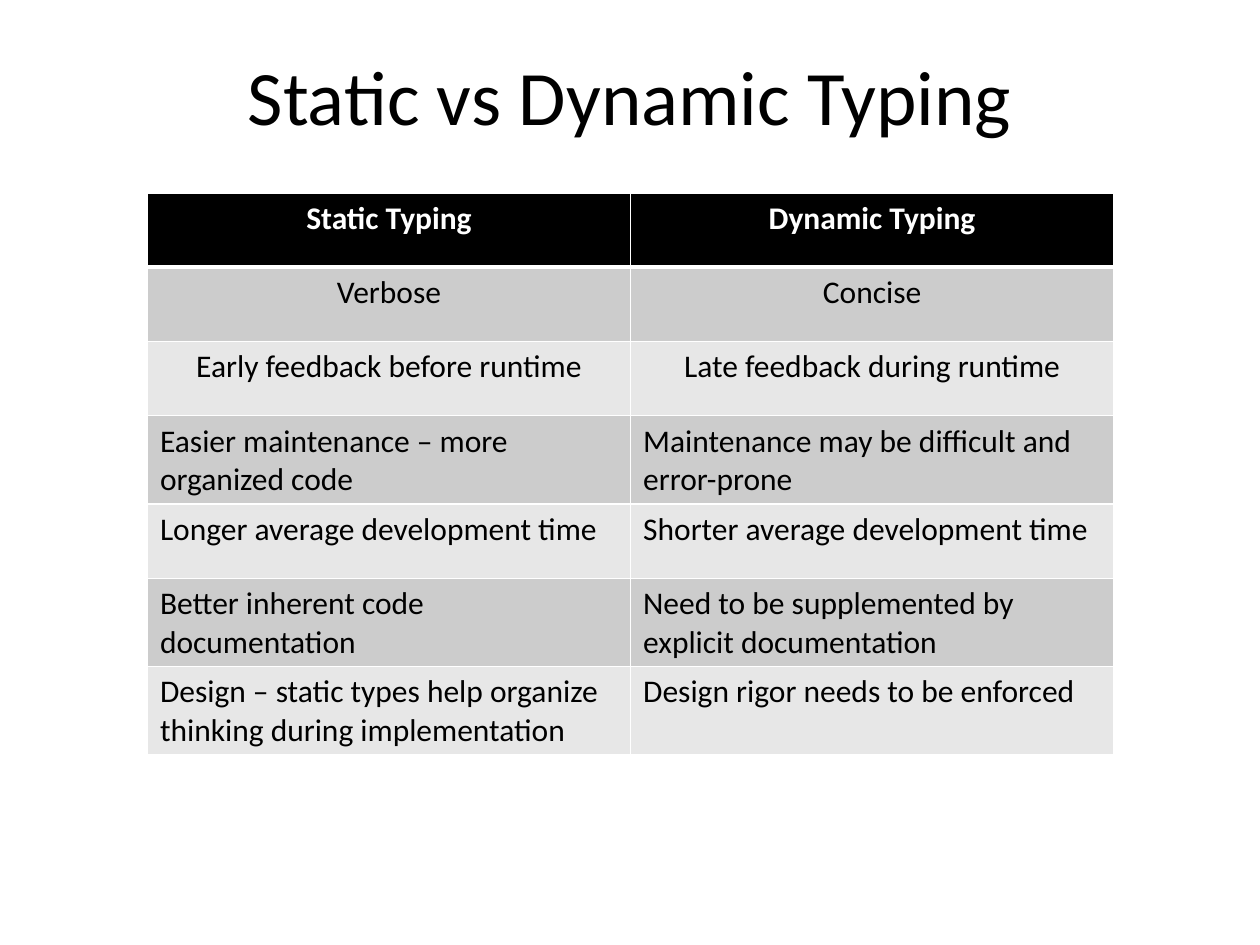
from dataclasses import dataclass

from lxml import etree
from pptx import Presentation
from pptx import util as u
from pptx.dml.color import RGBColor
from pptx.enum import text
from pptx.oxml import ns
from pptx.slide import Slide

COLORS = {"ink": "000000", "paper": "FFFFFF", "dark": "CCCCCC", "light": "E7E7E7"}
CENTERED_ROWS = 3
ROWS = [
    ("Static Typing", "Dynamic Typing"),
    ("Verbose", "Concise"),
    ("Early feedback before runtime", "Late feedback during runtime"),
    ("Easier maintenance – more organized code",
     "Maintenance may be difficult and error-prone"),
    ("Longer average development time", "Shorter average development time"),
    ("Better inherent code documentation",
     "Need to be supplemented by explicit documentation"),
    ("Design – static types help organize thinking during implementation",
     "Design rigor needs to be enforced"),
]


@dataclass
class Deck:
    """Holds the style and the current slide."""

    s: Slide
    font: str = "Calibri"
    title_size: int = 44
    body_size: int = 18

    def add_text(self, tf, words, size, color="ink", bold=False, centered=True):
        p = tf.paragraphs[0]
        p.alignment = text.PP_ALIGN.CENTER if centered else text.PP_ALIGN.LEFT
        r = p.add_run()
        r.text = words
        r.font.name, r.font.size, r.font.bold = self.font, u.Pt(size), bold
        r.font.color.rgb = RGBColor.from_string(COLORS[color])

    def title(self, words, left, top, width, height):
        sp = self.s.shapes.add_textbox(*map(u.Inches, (left, top, width, height)))
        tf = sp.text_frame
        tf.word_wrap = True
        tf.vertical_anchor = text.MSO_ANCHOR.MIDDLE
        self.add_text(tf, words, self.title_size)

    def border(self, cell, side, width):
        tc_pr = cell._tc.get_or_add_tcPr()
        ln = etree.SubElement(tc_pr, ns.qn(f"a:ln{side}"), w=str(u.Pt(width)))
        fill = etree.SubElement(ln, ns.qn("a:solidFill"))
        etree.SubElement(fill, ns.qn("a:srgbClr"), val=COLORS["paper"])

    def table(self, rows, left, top, width, row_height):
        box = map(u.Inches, (left, top, width, row_height * len(rows)))
        table = self.s.shapes.add_table(len(rows), len(rows[0]), *box).table
        for i, row in enumerate(rows):
            table.rows[i].height = u.Inches(row_height)
            header = i == 0
            band = "ink" if header else ("light", "dark")[i % 2]
            for j, words in enumerate(row):
                cell = table.cell(i, j)
                for side in "LRTB":
                    heavy = (i, side) in ((0, "B"), (1, "T"))
                    self.border(cell, side, 3 if heavy else 1)
                cell.fill.solid()
                cell.fill.fore_color.rgb = RGBColor.from_string(COLORS[band])
                self.add_text(cell.text_frame, words, self.body_size,
                              "paper" if header else "ink", header,
                              i < CENTERED_ROWS)


def main():
    prs = Presentation()
    prs.slide_width, prs.slide_height = u.Inches(10), u.Inches(7.5)
    deck = Deck(prs.slides.add_slide(prs.slide_layouts[6]))
    deck.title("Static vs Dynamic Typing", 0.75, 0.25, 8.5, 1)
    deck.table(ROWS, 1.17, 1.53, 7.67, 0.59)
    prs.save("out.pptx")


if __name__ == "__main__":
    main()
